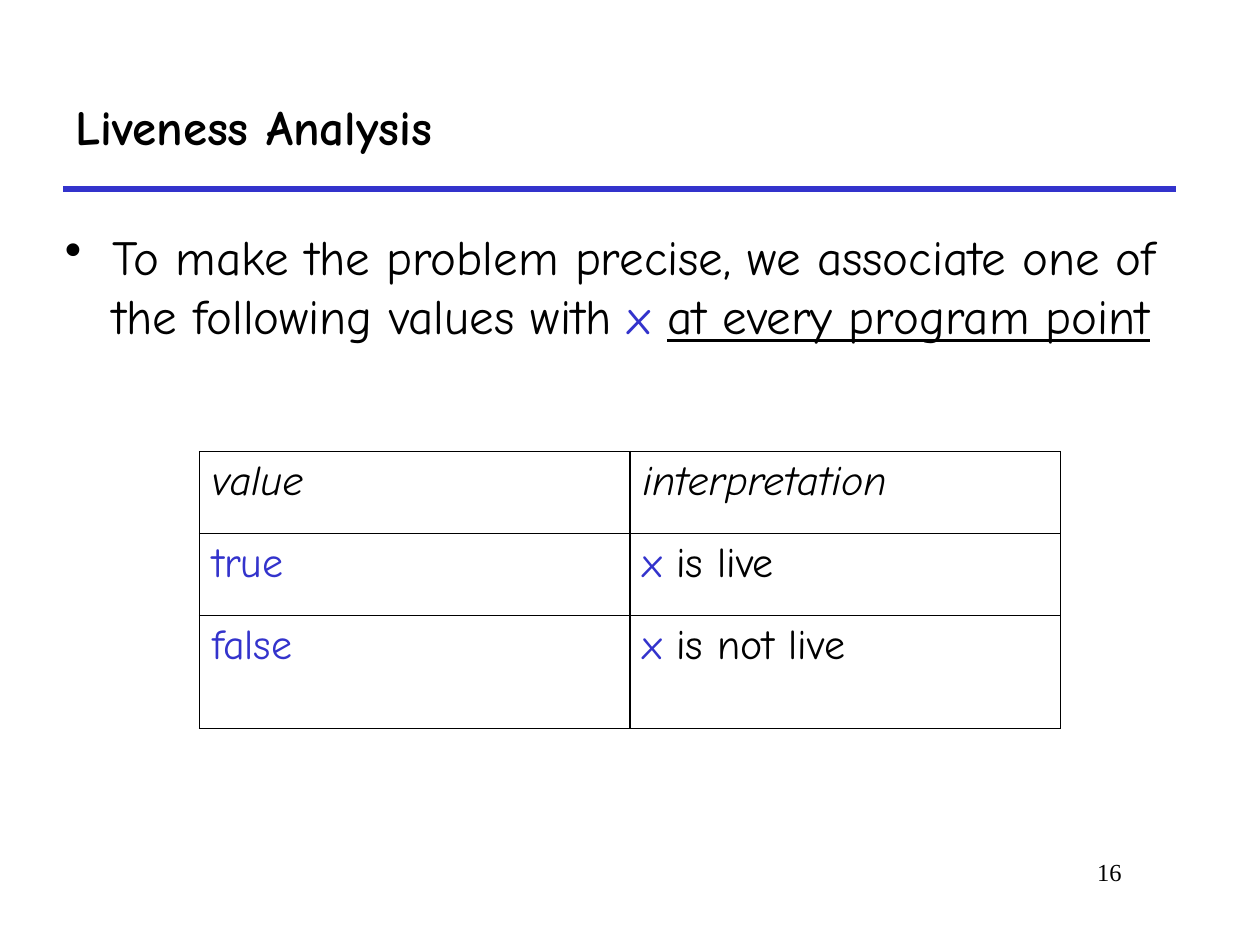
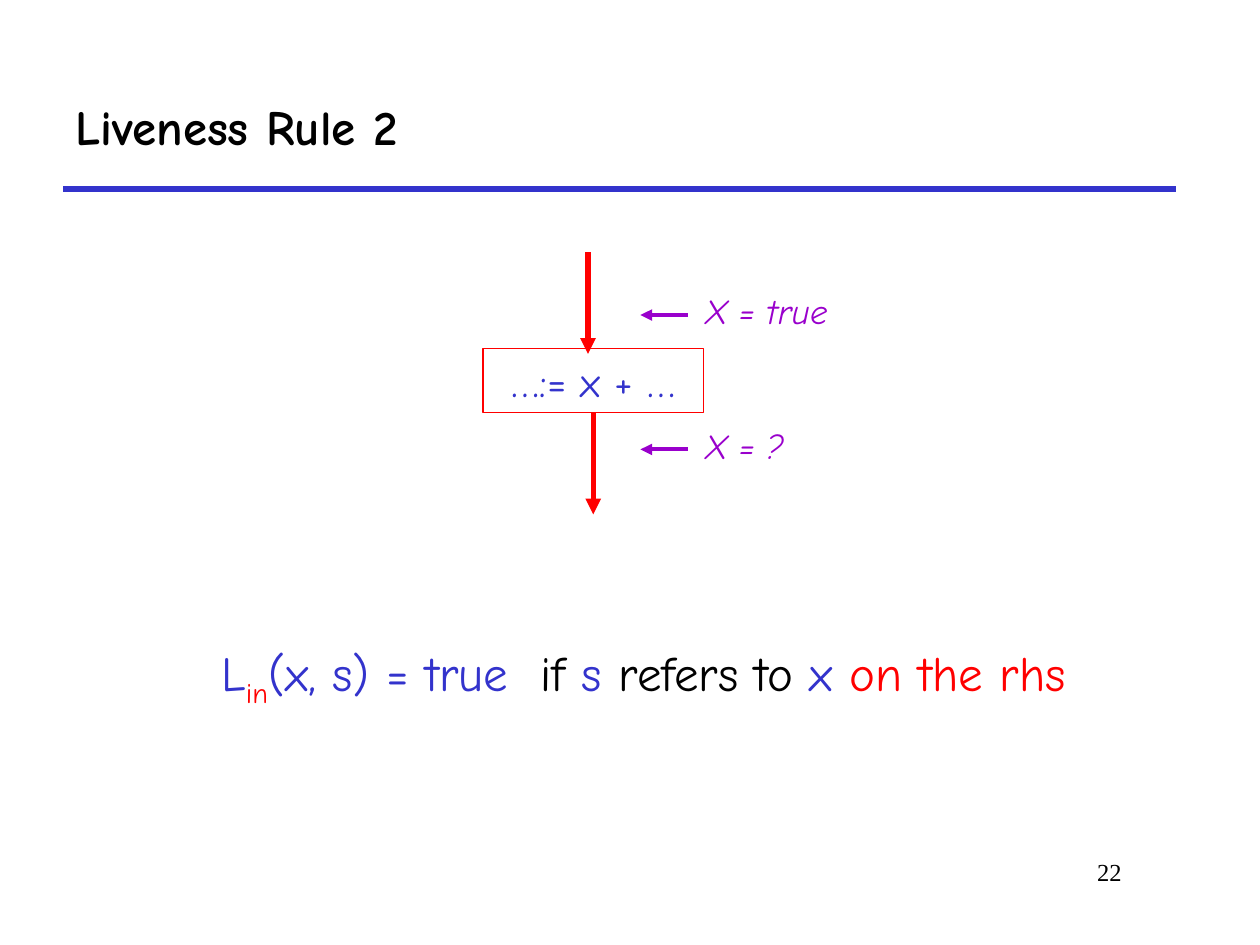
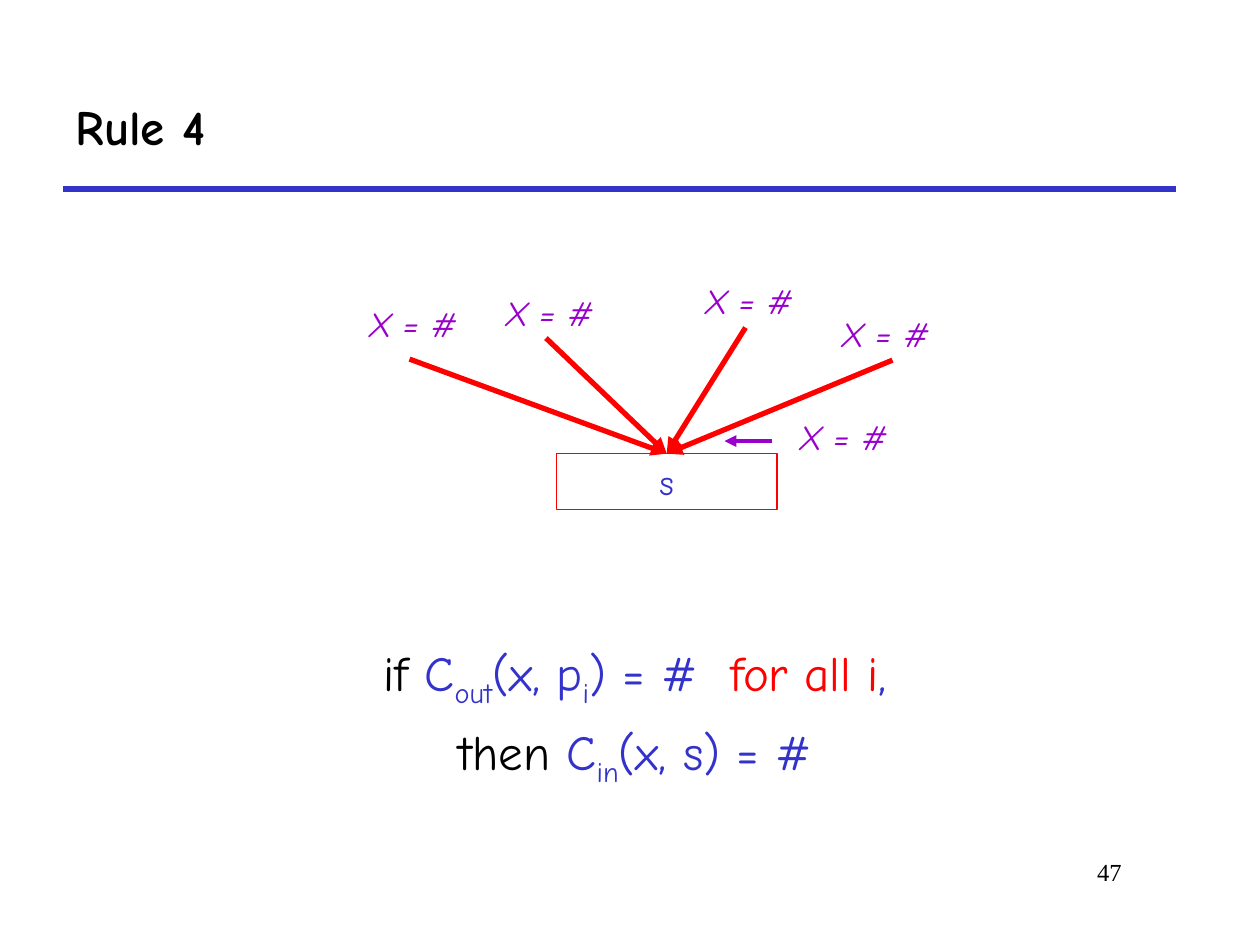
from lxml import etree
from pptx import Presentation, util as u
from pptx.dml.color import RGBColor
from pptx.enum import shapes, text
from pptx.oxml.ns import qn

# Shared look; every length is counted in grid steps of a twelfth of an inch
STEP = u.Inches(1) // 12
BLACK, BLUE, RED, PLUM = "000000", "3333CC", "FF0000", "9900CC"
FACE = "Comic Neue"
LEFT, MID, RIGHT = text.PP_ALIGN.LEFT, text.PP_ALIGN.CENTER, text.PP_ALIGN.RIGHT


def write(item, spot, lines, size, align=LEFT, face=FACE):
    """Place an item and fill it with lines of (words, colour, style) runs."""
    if spot:
        item.left, item.top, item.width, item.height = [int(n * STEP) for n in spot]
    frame = item.text_frame
    frame.word_wrap = True
    for row, line in enumerate(lines):
        para = frame.add_paragraph() if row else frame.paragraphs[0]
        para.alignment = align
        if row:
            para.space_before = u.Pt(size / 4)
        for words, tone, *style in line:
            run = para.add_run()
            run.text = words
            font = run.font
            font.name, font.size = face, u.Pt(size)
            font.color.rgb = RGBColor.from_string(tone)
            font.bold, font.italic = "bold" in style, "italic" in style
            font.underline = "under" in style
            if "sub" in style:
                run._r.get_or_add_rPr().set("baseline", "-25000")


def draw(page, start, end, tone, width, head=True):
    """Draw a straight line, with an arrowhead at its end if wanted."""
    ends = [int(n * STEP) for n in (*start, *end)]
    line = page.shapes.add_connector(shapes.MSO_CONNECTOR.STRAIGHT, *ends)
    line.line.color.rgb = RGBColor.from_string(tone)
    line.line.width = u.Pt(width)
    props = line._element.spPr
    if head:
        etree.SubElement(props.find(qn("a:ln")), qn("a:tailEnd"), type="triangle")
    etree.SubElement(props, qn("a:effectLst"))
    return line


deck = Presentation()
deck.slide_width, deck.slide_height = u.Inches(10), u.Inches(7.5)

# Title, rule and page number of each slide
pages = []
for name, num in [("Liveness Analysis", "16"), ("Liveness Rule 2", "22"), ("Rule 4", "47")]:
    page = deck.slides.add_slide(deck.slide_layouts[5])
    draw(page, (6, 18), (112, 18), BLUE, 3, head=False)
    title = page.shapes.title
    write(title, (6, 6, 106, 12), [[(name, BLACK, "bold")]], 28)
    title.text_frame.vertical_anchor = text.MSO_ANCHOR.MIDDLE
    title.text_frame.auto_size = text.MSO_AUTO_SIZE.NONE
    foot = page.shapes.add_textbox(0, 0, 0, 0)
    write(foot, (83, 81, 25, 6), [[(num, BLACK)]], 14, RIGHT, "Times New Roman")
    pages.append(page)
facts, rule, merge = pages

# Slide 1: bullet
body = facts.shapes.add_textbox(0, 0, 0, 0)
props = body.text_frame.paragraphs[0]._p.get_or_add_pPr()
props.set("marL", str(u.Inches(0.38)))
props.set("indent", str(-u.Inches(0.38)))
etree.SubElement(props, qn("a:buChar"), char="•")
write(body, (5, 21, 110, 19), [[
    ("To make the problem precise, we associate one of the following values with ", BLACK),
    ("x ", BLUE), ("at every program point", BLACK, "under")]], 28)

# Slide 1: table of values
cells = [
    [[("value", BLACK, "italic")], [("interpretation", BLACK, "italic")]],
    [[("true", BLUE)], [("x", BLUE), (" is live", BLACK)]],
    [[("false", BLUE)], [("x", BLUE), (" is not live", BLACK)]],
]
spot = [int(n * STEP) for n in (19, 43, 82, 26.4)]
table = facts.shapes.add_table(3, 2, *spot).table
table.first_row = table.horz_banding = False
for row, high, line in zip(table.rows, (7.8, 7.8, 10.8), cells):
    row.height = int(high * STEP)
    for cell, runs in zip(row.cells, line):
        write(cell, None, [runs], 24)
        props = cell._tc.get_or_add_tcPr()
        for side in "LRTB":
            edge = etree.SubElement(props, qn(f"a:ln{side}"), w=str(u.Pt(1)))
            fill = etree.SubElement(edge, qn("a:solidFill"))
            etree.SubElement(fill, qn("a:srgbClr"), val=BLACK)
        cell.fill.background()

# Slides 2 and 3: statement boxes
boxes = []
for page, spot, words, size in [
    (rule, (46, 33.2, 21, 6.1), "…:= x + …", 24),
    (merge, (53, 43.2, 21, 5.3), "s", 20),
]:
    box = page.shapes.add_shape(shapes.MSO_SHAPE.RECTANGLE, 0, 0, 0, 0)
    box.shadow.inherit = False
    box.fill.background()
    box.line.color.rgb = RGBColor.from_string(RED)
    box.line.width = u.Pt(0.75)
    write(box, spot, [[(words, BLUE)]], size, MID)
    boxes.append(box)

# Slides 2 and 3: facts at program points, some with a pointer
for page, left, top, tip in [
    (rule, 66, 27, 61), (rule, 66, 39.8, 61), (merge, 75, 39, 69),
    (merge, 34, 28.2, None), (merge, 47, 27.2, None),
    (merge, 66, 26, None), (merge, 79, 29.2, None),
]:
    words = "X = #" if page is merge else "X = true" if top == 27 else "X = ?"
    note = page.shapes.add_textbox(0, 0, 0, 0)
    write(note, (left, top, 16, 5.2), [[(words, PLUM, "italic")]], 20)
    if tip:
        draw(page, (tip + 4.5, top + 3), (tip, top + 3), PLUM, 2.25)

# Slides 2 and 3: control flow
draw(rule, (56, 24), (56, 33.7), RED, 3)
draw(rule, (56.5, 39.3), (56.5, 49), RED, 3).begin_connect(boxes[0], 2)
for start in [(39, 34.2), (71, 31.2), (52, 32.2), (85, 34.3)]:
    draw(merge, start, (63.5, 43.2), RED, 3).end_connect(boxes[1], 0)

# Slides 2 and 3: the rules as formulas
for page, left, lines in [
    (rule, 6.8, [
        [("L", BLUE), ("in", RED, "sub"), ("(x, s) = true ", BLUE), (" if ", BLACK),
         ("s", BLUE), (" refers to ", BLACK), ("x ", BLUE), ("on the rhs", RED)]]),
    (merge, 6, [
        [("if ", BLACK), ("C", BLUE), ("out", BLUE, "sub"), ("(x, p", BLUE),
         ("i", BLUE, "sub"), (") = #  ", BLUE), ("for all i", RED), (",", BLUE)],
        [("then ", BLACK), ("C", BLUE), ("in", BLUE, "sub"), ("(x, s) = #", BLUE)]]),
]:
    write(page.shapes.add_textbox(0, 0, 0, 0), (left, 60.6, 109, 18), lines, 28, MID)

deck.save("out.pptx")
